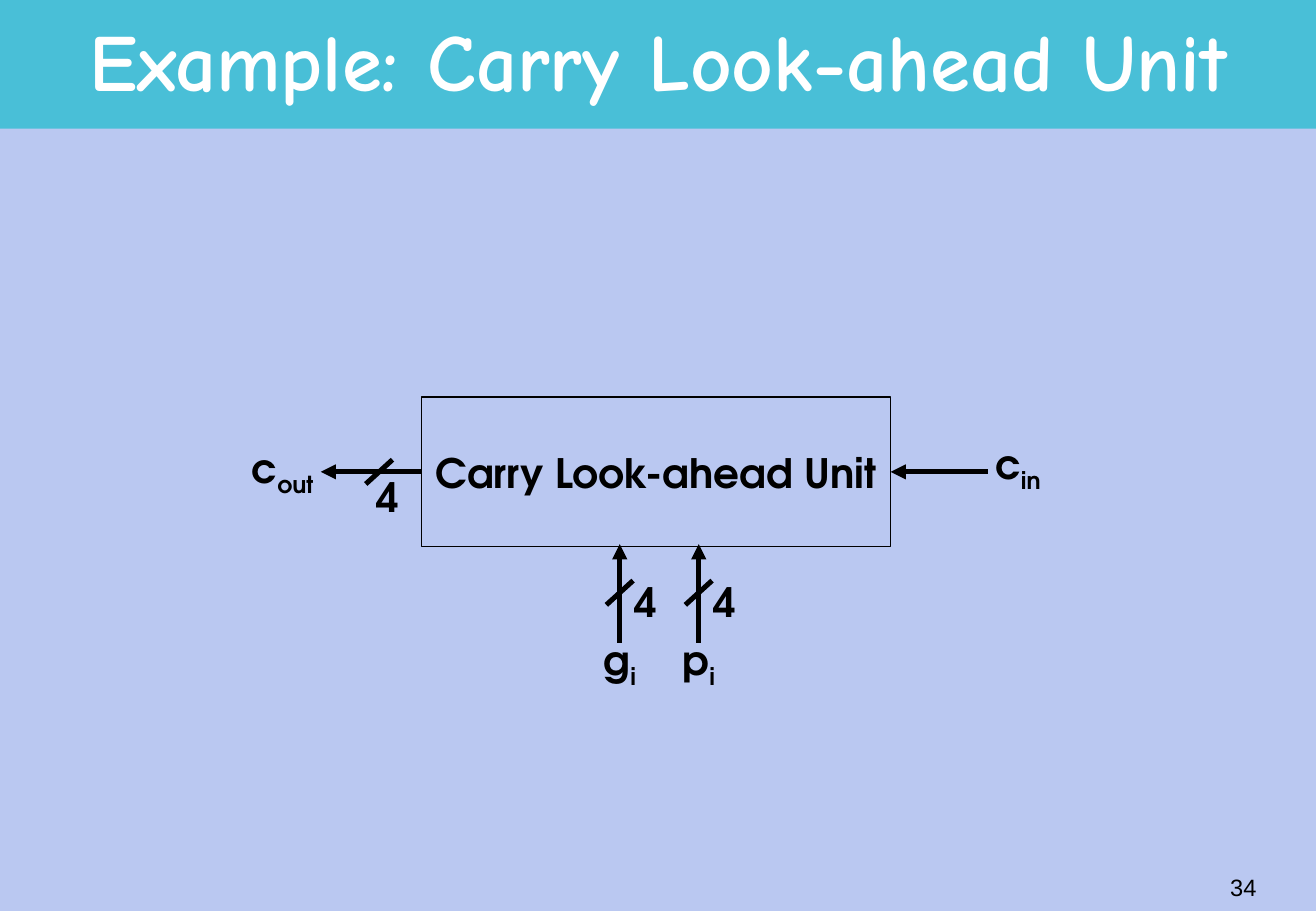
from lxml import etree
from pptx import Presentation
from pptx.dml.color import RGBColor
from pptx.enum import shapes, text
from pptx.oxml.ns import qn
from pptx.util import Inches, Pt

COLORS = {"page": "BAC8F1", "band": "49BFD7", "ink": "000000", "title": "FFFFFF"}
LABEL_FONT = "TeX Gyre Adventor"
LEFT, BOTTOM, RIGHT = 1, 2, 3


def color(name):
    return RGBColor.from_string(COLORS[name])


def style_run(run, size, font, ink="ink", bold=True):
    run.font.size = Pt(size)
    run.font.name = font
    run.font.bold = bold
    run.font.color.rgb = color(ink)


def add_rectangle(slide, left, top, width, height, fill):
    shape = slide.shapes.add_shape(
        shapes.MSO_SHAPE.RECTANGLE, Inches(left), Inches(top), Inches(width), Inches(height))
    shape.shadow.inherit = False
    shape.fill.solid()
    shape.fill.fore_color.rgb = color(fill)
    shape.line.fill.background()
    return shape


def add_label(slide, left, top, width, base, subscript=""):
    box = slide.shapes.add_textbox(Inches(left), Inches(top), Inches(width), Inches(0.55))
    frame = box.text_frame
    frame.word_wrap = False
    frame.auto_size = text.MSO_AUTO_SIZE.SHAPE_TO_FIT_TEXT
    para = frame.paragraphs[0]
    para.text = base
    if subscript:
        span = para.add_run()
        span.text = subscript
        span.font._element.set("baseline", "-25000")
    for run in para.runs:
        style_run(run, 24, LABEL_FONT)


def add_line(slide, start, end, arrow=False):
    line = slide.shapes.add_connector(
        shapes.MSO_CONNECTOR.STRAIGHT, *(Inches(value) for value in (*start, *end)))
    line.line.width = Pt(3)
    line.line.color.rgb = color("ink")
    if arrow:
        etree.SubElement(line.line._get_or_add_ln(), qn("a:tailEnd"), type="triangle")
    etree.SubElement(line._element.spPr, qn("a:effectLst"))
    return line


def add_bus_mark(slide, x, y, label_dx, label_dy):
    """Slash centred on a wire, with the bus width beside it."""
    add_line(slide, (x + 0.11, y - 0.1), (x - 0.11, y + 0.1))
    add_label(slide, x + label_dx, y + label_dy, 0.4, "4")


def add_title(slide, left, top, width, height):
    title = slide.shapes.title
    band = add_rectangle(slide, left, top, width, height, "band")
    title._element.addprevious(band._element)
    title.left, title.top = Inches(left), Inches(top + 0.05)
    title.width, title.height = Inches(width), Inches(height - 0.07)
    frame = title.text_frame
    frame.text = "Example: Carry Look-ahead Unit"
    frame.vertical_anchor = text.MSO_ANCHOR.MIDDLE
    frame.auto_size = text.MSO_AUTO_SIZE.NONE
    para = frame.paragraphs[0]
    para.alignment = text.PP_ALIGN.CENTER
    para.line_spacing = 0.85
    style_run(para.runs[0], 48, "Comic Neue", "title")


def add_carry_unit(slide, left, top, width, height):
    right, bottom, middle = left + width, top + height, top + height / 2
    unit = add_rectangle(slide, left, top, width, height, "page")
    unit.line.color.rgb = color("ink")
    unit.line.width = Pt(1)
    frame = unit.text_frame
    frame.text = "Carry Look-ahead Unit"
    frame.word_wrap = False
    frame.vertical_anchor = text.MSO_ANCHOR.MIDDLE
    para = frame.paragraphs[0]
    para.alignment = text.PP_ALIGN.CENTER
    style_run(para.runs[0], 24, LABEL_FONT)

    carry_in = add_line(slide, (right + 0.8, middle), (right, middle), arrow=True)
    carry_in.end_connect(unit, RIGHT)
    add_label(slide, right + 0.76, middle - 0.32, 0.62, "c", "in")

    carry_out = add_line(slide, (left, middle), (left - 0.83, middle), arrow=True)
    carry_out.begin_connect(unit, LEFT)
    add_bus_mark(slide, left - 0.35, middle, -0.12, -0.05)
    add_label(slide, left - 1.5, middle - 0.29, 0.78, "c", "out")

    for name, offset in (("g", 1.63), ("p", 2.28)):
        x = left + offset
        add_line(slide, (x, bottom + 0.79), (x, bottom - 0.02), arrow=True)
        add_bus_mark(slide, x, bottom + 0.38, 0.02, -0.18)
        add_label(slide, x - 0.23, bottom + 0.68, 0.49, name, "i")


def add_page_number(slide, left, top, width, height):
    box = slide.shapes.add_textbox(Inches(left), Inches(top), Inches(width), Inches(height))
    frame = box.text_frame
    frame.text = "34"
    frame.word_wrap = False
    frame.vertical_anchor = text.MSO_ANCHOR.MIDDLE
    para = frame.paragraphs[0]
    para.alignment = text.PP_ALIGN.RIGHT
    style_run(para.runs[0], 14, "Arial", bold=False)


def main():
    deck = Presentation()
    deck.slide_width, deck.slide_height = Inches(10.83), Inches(7.5)
    slide = deck.slides.add_slide(deck.slide_layouts.get_by_name("Title Only"))
    slide.background.fill.solid()
    slide.background.fill.fore_color.rgb = color("page")
    add_title(slide, 0, 0, 10.83, 1.06)
    add_carry_unit(slide, 3.47, 3.27, 3.86, 1.23)
    add_page_number(slide, 8.18, 7.05, 2.26, 0.5)
    deck.save("out.pptx")


if __name__ == "__main__":
    main()
